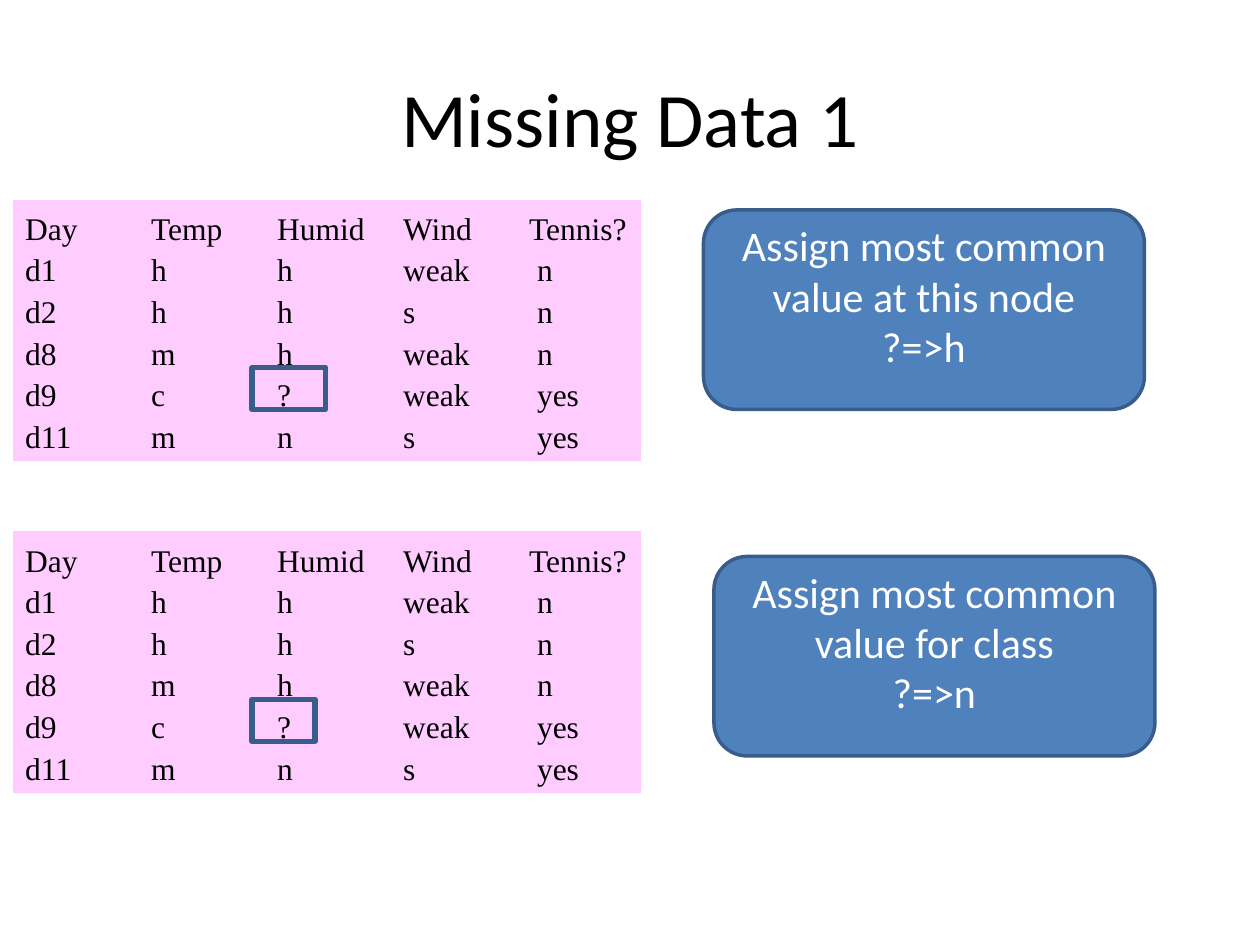
from pptx import Presentation
from pptx.dml.color import RGBColor
from pptx.enum.shapes import MSO_SHAPE
from pptx.enum.text import MSO_ANCHOR, PP_ALIGN
from pptx.oxml.ns import qn
from pptx.util import Pt

RECT, ROUND = MSO_SHAPE.RECTANGLE, MSO_SHAPE.ROUNDED_RECTANGLE
TOP, MID, LOW = MSO_ANCHOR.TOP, MSO_ANCHOR.MIDDLE, MSO_ANCHOR.BOTTOM
LEFT, CENTER = PP_ALIGN.LEFT, PP_ALIGN.CENTER

BLACK = RGBColor(0x00, 0x00, 0x00)
WHITE = RGBColor(0xFF, 0xFF, 0xFF)
PINK = RGBColor(0xFF, 0xCC, 0xFF)
BLUE = RGBColor(0x4F, 0x81, 0xBD)
NAVY = RGBColor(0x38, 0x5D, 0x8A)
PLAIN = "{2D5ABB26-0587-4C30-8999-92F81FD0307C}"

TITLE = "Missing Data 1"
DAYS = [
    ("Day", "Temp", "Humid", "Wind", "Tennis?"),
    ("d1", "h", "h", "weak", "n"),
    ("d2", "h", "h", "s", "n"),
    ("d8", "m", "h", "weak", "n"),
    ("d9", "c", "?", "weak", "yes"),
    ("d11", "m", "n", "s", "yes"),
]
WIDTHS = [79.2, 72, 72, 72, 64.1]
HEIGHTS = [27.2, 23.8, 23.8, 23.8, 23.8, 27.4]
CASES = [
    {"top": 114, "mark": 42, "note": (402, 120),
     "text": "Assign most common value at this node\n?=>h"},
    {"top": 303.6, "mark": 36, "note": (408, 318),
     "text": "Assign most common value for class\n?=>n"},
]


def write(frame, text, size, face, color, align, anchor):
    frame.text = text
    frame.word_wrap = True
    frame.vertical_anchor = anchor
    for para in frame.paragraphs:
        para.alignment = align
        para.font.size = Pt(size)
        para.font.name = face
        para.font.color.rgb = color


def add_box(slide, kind, left, top, width, height, fill, line):
    box = slide.shapes.add_shape(kind, Pt(left), Pt(top), Pt(width), Pt(height))
    box.shadow.inherit = False
    if fill is None:
        box.fill.background()
    else:
        box.fill.solid()
        box.fill.fore_color.rgb = fill
    box.line.color.rgb = NAVY
    box.line.width = Pt(line)
    return box


def add_days(slide, top):
    table = slide.shapes.add_table(
        len(DAYS), len(WIDTHS), Pt(7.2), Pt(top),
        Pt(sum(WIDTHS)), Pt(sum(HEIGHTS))).table
    table._tbl.tblPr.find(qn("a:tableStyleId")).text = PLAIN
    table.first_row = table.horz_banding = False
    for col, width in zip(table.columns, WIDTHS):
        col.width = Pt(width)
    last = len(DAYS) - 1
    for r, row in enumerate(DAYS):
        table.rows[r].height = Pt(HEIGHTS[r])
        for c, text in enumerate(row):
            cell = table.cell(r, c)
            cell.fill.solid()
            cell.fill.fore_color.rgb = PINK
            indent = 4.5 if r and c == 4 else 0
            cell.margin_left = Pt(7.2 if c == 0 else indent)
            cell.margin_right = cell.margin_top = 0
            cell.margin_bottom = Pt(3.6 if r == last else 0)
            write(cell.text_frame, text, 18, "Times New Roman", BLACK, LEFT, LOW)
            cell.vertical_anchor = LOW


def main():
    deck = Presentation()
    deck.slide_width, deck.slide_height = Pt(720), Pt(540)
    slide = deck.slides.add_slide(deck.slide_layouts[6])
    title = slide.shapes.add_textbox(Pt(36), Pt(21.6), Pt(648), Pt(90))
    write(title.text_frame, TITLE, 44, "Calibri", BLACK, CENTER, MID)
    for case in CASES:
        top = case["top"]
        add_days(slide, top)
        add_box(slide, RECT, 144, top + 96, case["mark"], 24, None, 3)
        note = add_box(slide, ROUND, *case["note"], 252, 114, BLUE, 2)
        note.text_frame.margin_top = 0
        write(note.text_frame, case["text"], 24, "Calibri", WHITE, CENTER, TOP)
    deck.save("out.pptx")


if __name__ == "__main__":
    main()
